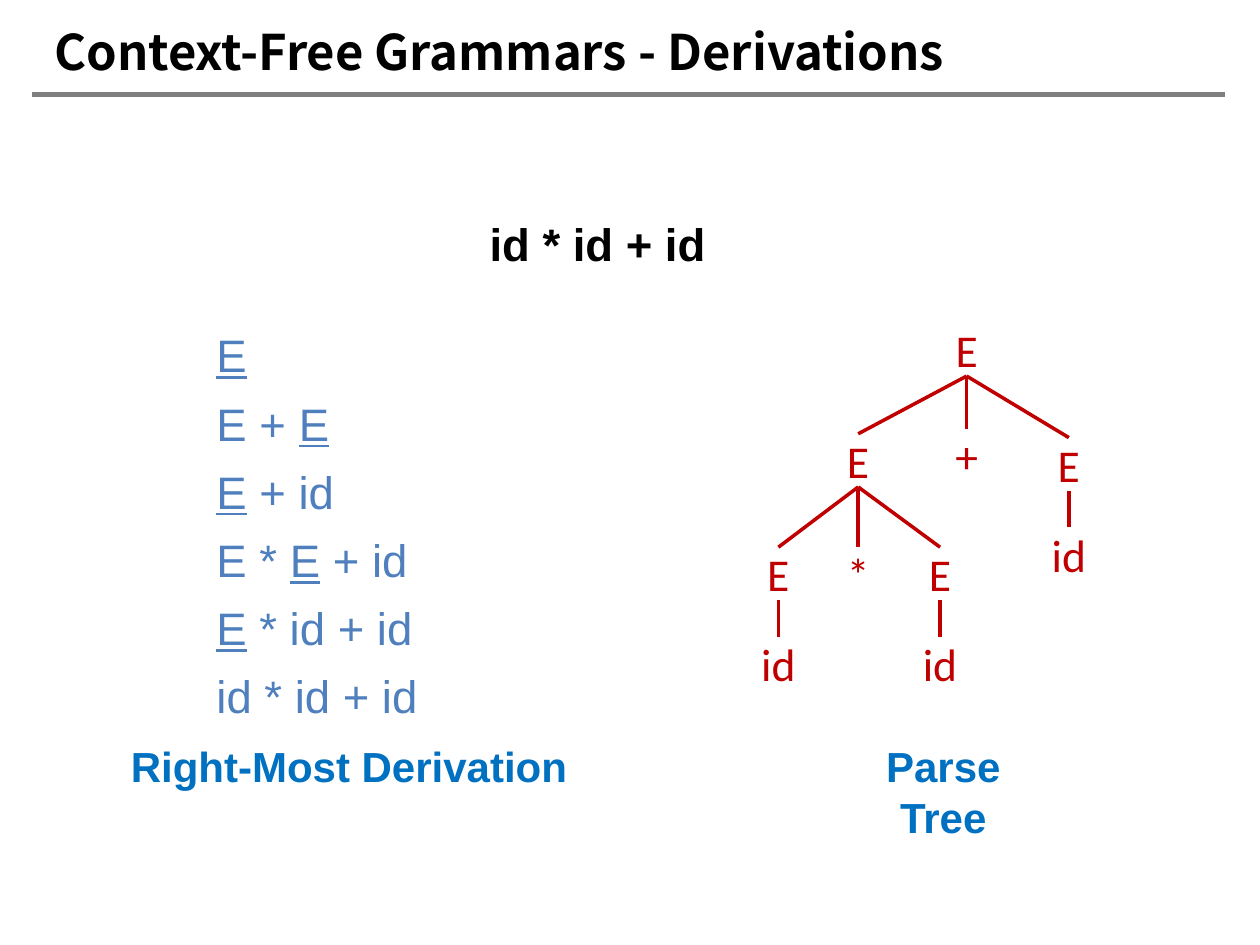
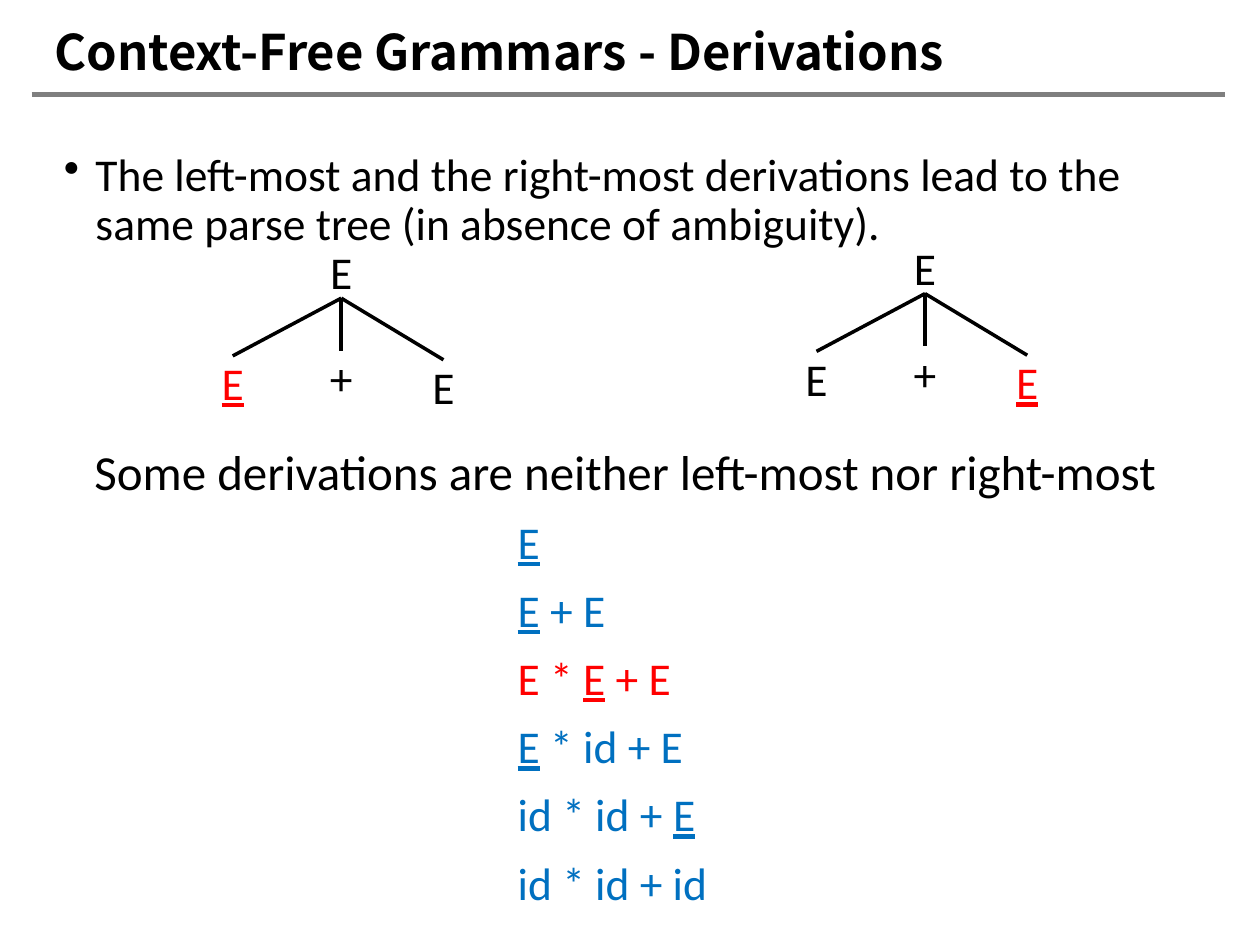
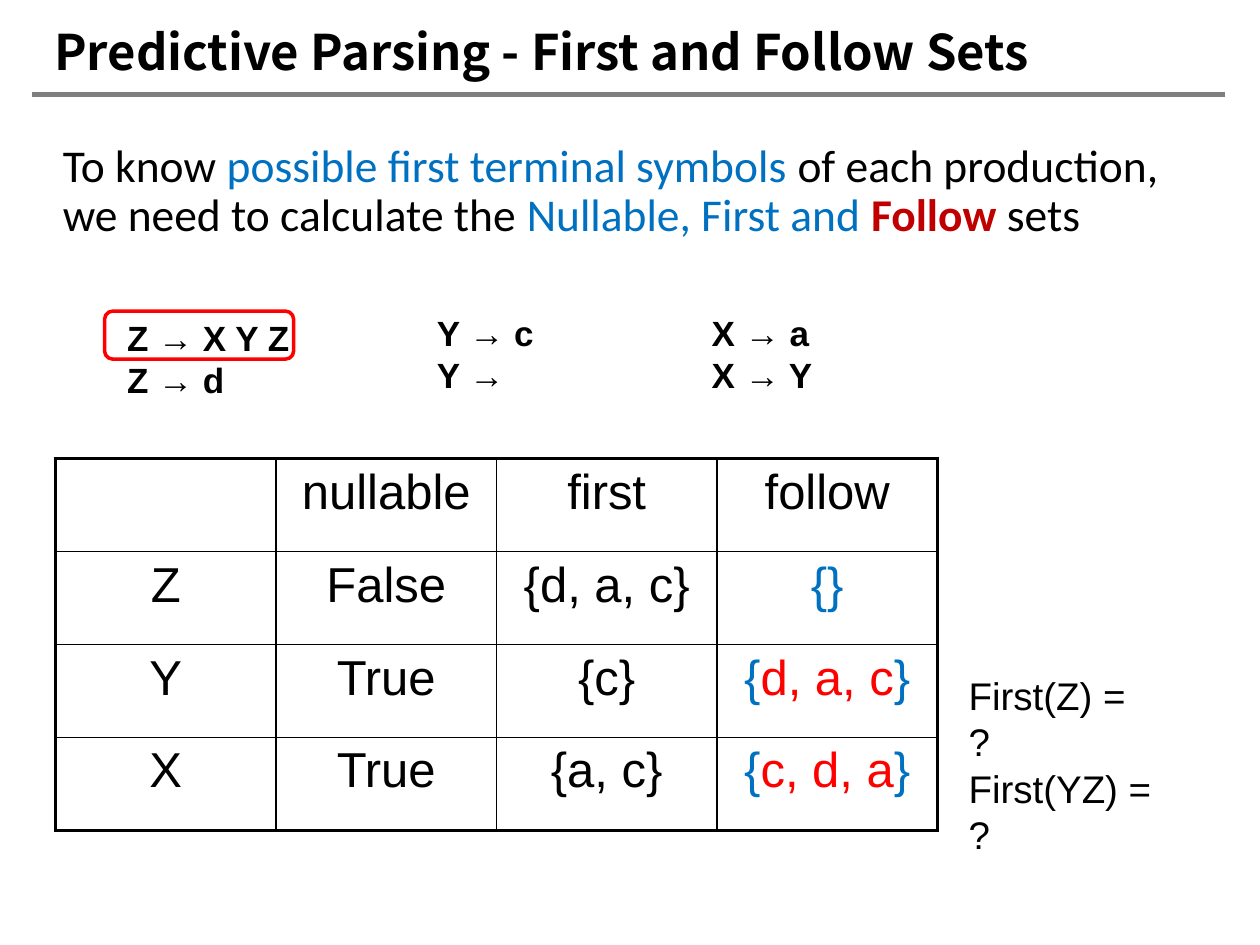
from pptx import Presentation
from pptx import util as u
from pptx.dml import color as dml
from pptx.enum import shapes, text
from pptx.oxml import xmlchemy

Pt = u.Pt

# Shared look
BLACK, GRAY, BLUE, PALE_BLUE = "000000", "7F7F7F", "0070C0", "4F80BD"
RED, DARK_RED = "FF0000", "C00000"
TITLE_FONT, BODY_FONT, PLAIN_FONT = "Noto Sans CJK SC", "Calibri", "Arial"
CENTER, LEFT = text.PP_ALIGN.CENTER, text.PP_ALIGN.LEFT

# Offsets from a tree node to its children: text, x, y
SUM_BRANCHES = [("E", -62, 63.4), ("+", 0, 60.5), ("E", 58.4, 65.6)]
PRODUCT_BRANCHES = [("E", -45.6, 64.8), ("*", 0, 64.8), ("E", 46.8, 64.8)]
LEAF_DROP = 51.2


def rgb(value):
    return dml.RGBColor.from_string(value)


def element(parent, tag, index=None, **attributes):
    child = xmlchemy.OxmlElement(tag)
    for name, value in attributes.items():
        child.set(name, str(value))
    parent.insert(len(parent) if index is None else index, child)
    return child


# Text
def underlined(markup, **changes):
    """Split 'a _b_ c' into spans, underlining the parts between marks."""
    return [(part, dict(changes, underline=bool(i % 2)))
            for i, part in enumerate(markup.split("_")) if part]


def write(frame, lines, size=26, font=BODY_FONT, color=BLACK, bold=False,
          align=LEFT, spacing=None, bullet=None):
    """Each line is a string or a list of (text, format changes) spans."""
    for i, line in enumerate(lines):
        para = frame.paragraphs[0] if i == 0 else frame.add_paragraph()
        para.alignment = align
        if spacing:
            para.line_spacing = spacing
        if bullet:
            properties = para._p.get_or_add_pPr()
            properties.set("marL", str(Pt(18)))
            properties.set("indent", str(-Pt(18)))
            element(properties, "a:buChar", char=bullet)
        for words, changes in [(line, {})] if isinstance(line, str) else line:
            span = para.add_run()
            span.text = words
            span.font.name = font
            span.font.size = Pt(size)
            span.font.bold = changes.get("bold", bold)
            span.font.underline = changes.get("underline", False)
            span.font.color.rgb = rgb(changes.get("color", color))


def set_margins(frame, margin):
    frame.margin_left = frame.margin_right = Pt(margin)
    frame.margin_top = frame.margin_bottom = Pt(margin)


def add_text(page, lines, left, top, width, height, margin=None, **style):
    box = page.shapes.add_textbox(Pt(left), Pt(top), Pt(width), Pt(height))
    box.text_frame.word_wrap = True
    if margin is not None:
        set_margins(box.text_frame, margin)
    write(box.text_frame, lines, **style)


# Lines and shapes
def add_line(page, start, end, color, weight=2):
    line = page.shapes.add_connector(shapes.MSO_CONNECTOR.STRAIGHT, *start, *end)
    line.line.color.rgb = rgb(color)
    line.line.width = Pt(weight)
    element(line._element.spPr, "a:effectLst")
    return line


def add_rounded(page, left, top, width, height, outline=None):
    box = page.shapes.add_shape(shapes.MSO_SHAPE.ROUNDED_RECTANGLE,
                                left, top, width, height)
    box.shadow.inherit = False
    box.fill.background()
    if outline:
        box.line.color.rgb = rgb(outline)
        box.line.width = Pt(2)
    else:
        box.line.fill.background()
    return box


# Parse trees
def add_node(page, label, center, top, color, underline=False):
    width = Pt(28 if len(label) == 1 else 44)
    node = add_rounded(page, center - width // 2, top, width, Pt(30.4))
    set_margins(node.text_frame, 0)
    node.text_frame.vertical_anchor = text.MSO_ANCHOR.MIDDLE
    write(node.text_frame, [[(label, {"underline": underline})]],
          color=color, align=CENTER)
    return node


def add_branches(page, parent, branches, color, marked=None):
    """Hang children below a node; the marked one is red and underlined."""
    center = parent.left + parent.width // 2
    children = []
    for i, (label, across, down) in enumerate(branches):
        child = add_node(page, label, center + Pt(across), parent.top + Pt(down),
                         RED if i == marked else color, i == marked)
        edge = add_line(page, (0, 0), (0, 0), color)
        edge.begin_connect(parent, 2)
        edge.end_connect(child, 0)
        children.append(child)
    return children


# Table
def add_grid(page, rows, left, top, column_width, row_height):
    count, columns = len(rows), len(rows[0])
    grid = page.shapes.add_table(count, columns, Pt(left), Pt(top),
                                 Pt(column_width * columns),
                                 Pt(row_height * count)).table
    grid.first_row = grid.horz_banding = False
    for r, row in enumerate(rows):
        grid.rows[r].height = Pt(row_height)
        for c, content in enumerate(row):
            cell = grid.cell(r, c)
            cell.fill.background()
            if content:
                write(cell.text_frame, [content], size=28, font=PLAIN_FONT,
                      align=CENTER)
            outer = {"L": c == 0, "R": c == columns - 1,
                     "T": r == 0, "B": r == count - 1}
            for i, (side, is_outer) in enumerate(outer.items()):
                border = element(cell._tc.get_or_add_tcPr(), "a:ln" + side, i,
                                 w=int(Pt(2.25 if is_outer else 1)))
                element(element(border, "a:solidFill"), "a:srgbClr", val=BLACK)


def follow_set(symbols):
    return [("{", {"color": BLUE}), (symbols, {"color": RED}),
            ("}", {"color": BLUE})]


# Slides
def add_page(deck, title):
    page = deck.slides.add_slide(deck.slide_layouts[6])
    add_line(page, (Pt(18), Pt(54.2)), (Pt(700), Pt(54.2)), GRAY, 3)
    add_text(page, [title], 31, 12.2, 660, 34, margin=0, size=28,
             font=TITLE_FONT, bold=True)
    return page


def right_most_page(deck):
    page = add_page(deck, "Context-Free Grammars - Derivations")
    add_text(page, ["id * id + id"], 75.6, 120.2, 532, 39, font=PLAIN_FONT,
             bold=True, align=CENTER)
    steps = ["_E_", "E + _E_", "_E_ + id", "E * _E_ + id", "_E_ * id + id",
             "id * id + id"]
    add_text(page, [underlined(step) for step in steps], 116.6, 175.7, 140, 240,
             font=PLAIN_FONT, color=PALE_BLUE, spacing=1.25)

    root = add_node(page, "E", Pt(552.4), Pt(184.5), DARK_RED)
    product, _, last = add_branches(page, root, SUM_BRANCHES, DARK_RED)
    first, _, second = add_branches(page, product, PRODUCT_BRANCHES, DARK_RED)
    for parent in (first, second, last):
        add_branches(page, parent, [("id", 0, LEAF_DROP)], DARK_RED)

    caption = dict(size=24, font=PLAIN_FONT, color=BLUE, bold=True)
    add_text(page, ["Right-Most Derivation"], 67.7, 419.8, 277, 36, **caption)
    add_text(page, ["Parse Tree"], 480, 419.8, 118, 65, align=CENTER, **caption)


def same_tree_page(deck):
    page = add_page(deck, "Context-Free Grammars - Derivations")
    add_text(page, ["The left-most and the right-most derivations lead to the "
                    "same parse tree (in absence of ambiguity)."],
             29.5, 83.5, 665, 104, spacing=0.9, bullet="•")
    for center, top, marked in [(195, 140, 0), (528.6, 137.4, 2)]:
        root = add_node(page, "E", Pt(center), Pt(top), BLACK)
        add_branches(page, root, SUM_BRANCHES, BLACK, marked)

    add_text(page, ["Some derivations are neither left-most nor right-most"],
             54, 252, 629, 37, margin=0, size=28)
    steps = [underlined("_E_"), underlined("_E_ + E"),
             underlined("E * _E_ + E", color=RED), underlined("_E_ * id + E"),
             underlined("id * id + _E_"), underlined("id * id + id")]
    add_text(page, steps, 288.7, 282.2, 140, 240, color=BLUE, spacing=1.25)


def follow_sets_page(deck):
    page = add_page(deck, "Predictive Parsing - First and Follow Sets")
    add_text(page, [[("To know ", {}),
                     ("possible first terminal symbols ", {"color": BLUE}),
                     ("of each production, we need to calculate the ", {}),
                     ("Nullable, First and ", {"color": BLUE}),
                     ("Follow ", {"color": DARK_RED, "bold": True}),
                     ("sets", {})]],
             28.8, 78.5, 665, 70, spacing=0.9)

    productions = [(["Z → X Y Z", "Z → d"], 65.5, 177.1),
                   (["Y → c", "Y →"], 242.6, 174.2),
                   (["X → a", "X → Y"], 399.6, 174.2)]
    for rules, left, top in productions:
        add_text(page, rules, left, top, 115, 55.4, size=20, font=PLAIN_FONT,
                 bold=True)
    add_rounded(page, Pt(59.8), Pt(177.8), Pt(108), Pt(27.4), outline=RED)

    add_grid(page, [["", "nullable", "first", "follow"],
                    ["Z", "False", "{d, a, c}", [("{}", {"color": BLUE})]],
                    ["Y", "True", "{c}", follow_set("d, a, c")],
                    ["X", "True", "{a, c}", follow_set("c, d, a")]],
             31.7, 262.1, 126, 53.1)
    for question, top, width in [("First(Z) = ?", 380.2, 108),
                                 ("First(YZ) = ?", 433.4, 119.5)]:
        add_text(page, [question], 546.5, top, width, 60, size=22,
                 font=PLAIN_FONT)


def main():
    deck = Presentation()
    deck.slide_width, deck.slide_height = Pt(720), Pt(540)
    right_most_page(deck)
    same_tree_page(deck)
    follow_sets_page(deck)
    deck.save("out.pptx")


if __name__ == "__main__":
    main()
